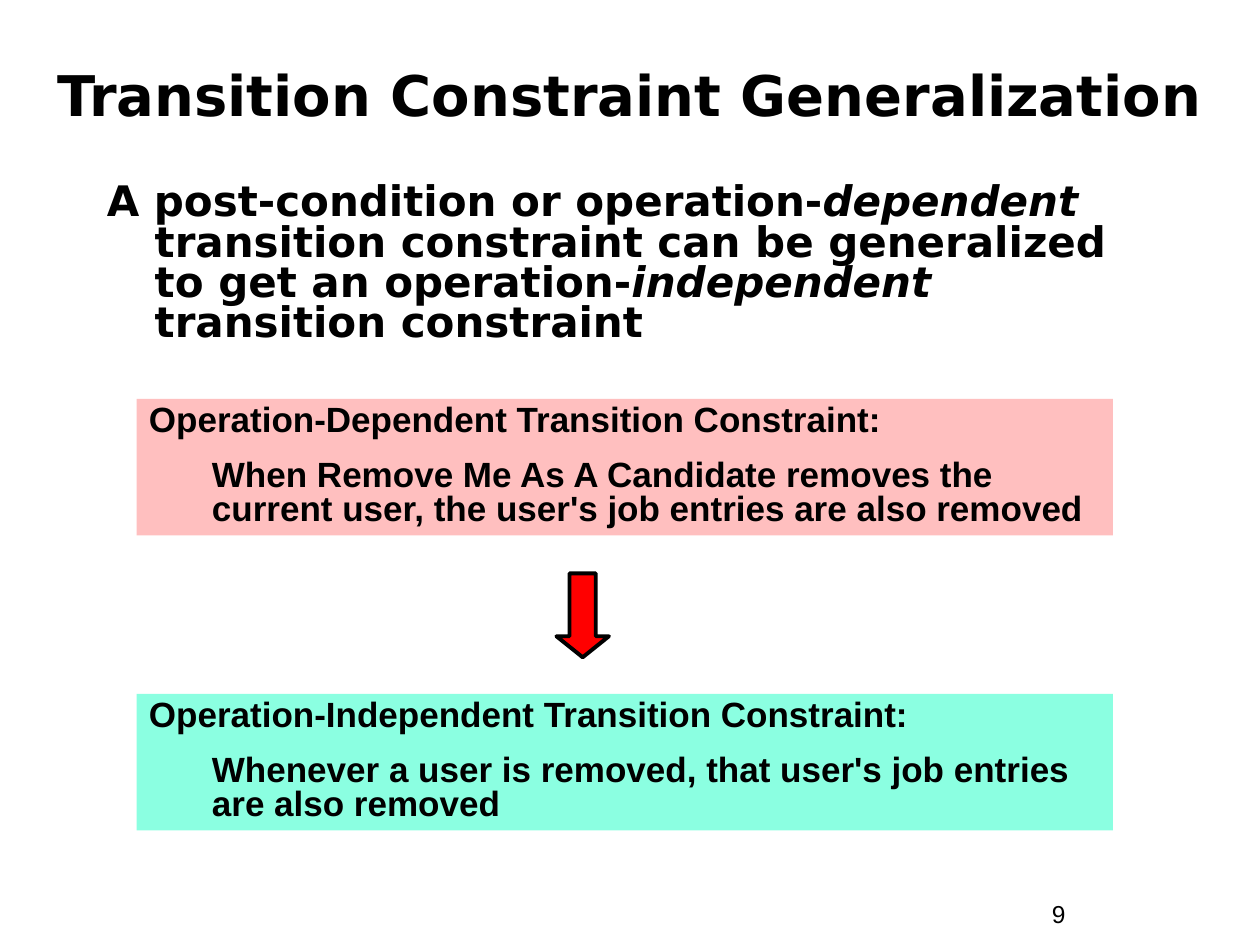
from pptx import Presentation
from pptx.dml.color import RGBColor
from pptx.enum.shapes import MSO_SHAPE as SHAPE
from pptx.enum.text import MSO_ANCHOR as ANCHOR, MSO_AUTO_SIZE as AUTO_SIZE, PP_ALIGN as ALIGN
from pptx.util import Inches, Pt

BLACK = RGBColor(0x00, 0x00, 0x00)
RED = RGBColor(0xFF, 0x00, 0x00)
PINK = RGBColor(0xFF, 0xBF, 0xBF)
MINT = RGBColor(0x8B, 0xFF, 0xE1)
HEADING_FONT, BOX_FONT = "DejaVu Sans", "Arial"
UNIT = Inches(1) / 12  # the slide is a grid of 120 columns by 90 rows


def grid(*cells):
    return [round(n * UNIT) for n in cells]


def set_font(p, name, size, bold=True):
    p.font.name, p.font.size, p.font.bold = name, Pt(size), bold
    p.font.color.rgb = BLACK


def indent(p, left, first=0):
    """Set the left margin and first-line indent in inches."""
    pPr = p._p.get_or_add_pPr()
    pPr.set("marL", str(Inches(left)))
    pPr.set("indent", str(Inches(first)))


def add_title(s, box, text):
    sp = s.shapes.title
    sp.left, sp.top, sp.width, sp.height = grid(*box)
    tf = sp.text_frame
    tf.text = text
    tf.auto_size, tf.vertical_anchor = AUTO_SIZE.NONE, ANCHOR.MIDDLE
    p = tf.paragraphs[0]
    p.alignment, p.line_spacing = ALIGN.CENTER, 0.85
    set_font(p, HEADING_FONT, 32)


def add_statement(s, box, parts):
    """Add a hanging paragraph in which every second part is italic."""
    tf = s.shapes.add_textbox(*grid(*box)).text_frame
    tf.word_wrap = True
    p = tf.paragraphs[0]
    indent(p, 0.38, -0.38)
    p.line_spacing = 0.8
    set_font(p, HEADING_FONT, 24)
    for i, part in enumerate(parts):
        r = p.add_run()
        r.text = part
        r.font.italic = i % 2 == 1


def add_constraint(s, box, fill, heading, rule):
    sp = s.shapes.add_shape(SHAPE.RECTANGLE, *grid(*box))
    sp.shadow.inherit = False
    sp.fill.solid()
    sp.fill.fore_color.rgb = fill
    sp.line.fill.background()
    tf = sp.text_frame
    tf.word_wrap, tf.vertical_anchor = True, ANCHOR.TOP
    tf.text = f"{heading}\n{rule}"
    for p in tf.paragraphs:
        p.alignment, p.line_spacing = ALIGN.LEFT, 0.8
        set_font(p, BOX_FONT, 20)
    p.level, p.space_before = 1, Pt(12.5)
    indent(p, 0.5)


def add_arrow(s, box):
    sp = s.shapes.add_shape(SHAPE.DOWN_ARROW, *grid(*box))
    sp.adjustments[0], sp.adjustments[1] = 0.5, 0.4
    sp.shadow.inherit = False
    sp.fill.solid()
    sp.fill.fore_color.rgb = RED
    sp.line.color.rgb, sp.line.width = BLACK, Pt(2.25)


def add_page_number(s, box, number):
    tf = s.shapes.add_textbox(*grid(*box)).text_frame
    tf.word_wrap = True
    tf.text = str(number)
    set_font(tf.paragraphs[0], BOX_FONT, 14, bold=False)


def main():
    prs = Presentation()
    prs.slide_width, prs.slide_height = grid(120, 90)
    s = prs.slides.add_slide(prs.slide_layouts[5])
    add_page_number(s, (99, 85, 11, 4), 9)
    add_title(s, (4, 4, 112, 11), "Transition Constraint Generalization")
    add_statement(s, (9, 17, 101, 18), [
        "A post-condition or operation-", "dependent",
        " transition constraint can be generalized to get an operation-",
        "independent", " transition constraint"])
    add_constraint(s, (13, 38, 93, 13), PINK,
                   "Operation-Dependent Transition Constraint:",
                   "When Remove Me As A Candidate removes the current user, "
                   "the user's job entries are also removed")
    add_constraint(s, (13, 66.1, 93, 13), MINT,
                   "Operation-Independent Transition Constraint:",
                   "Whenever a user is removed, that user's job entries are also removed")
    add_arrow(s, (53, 54.6, 5, 8))
    prs.save("out.pptx")


if __name__ == "__main__":
    main()
